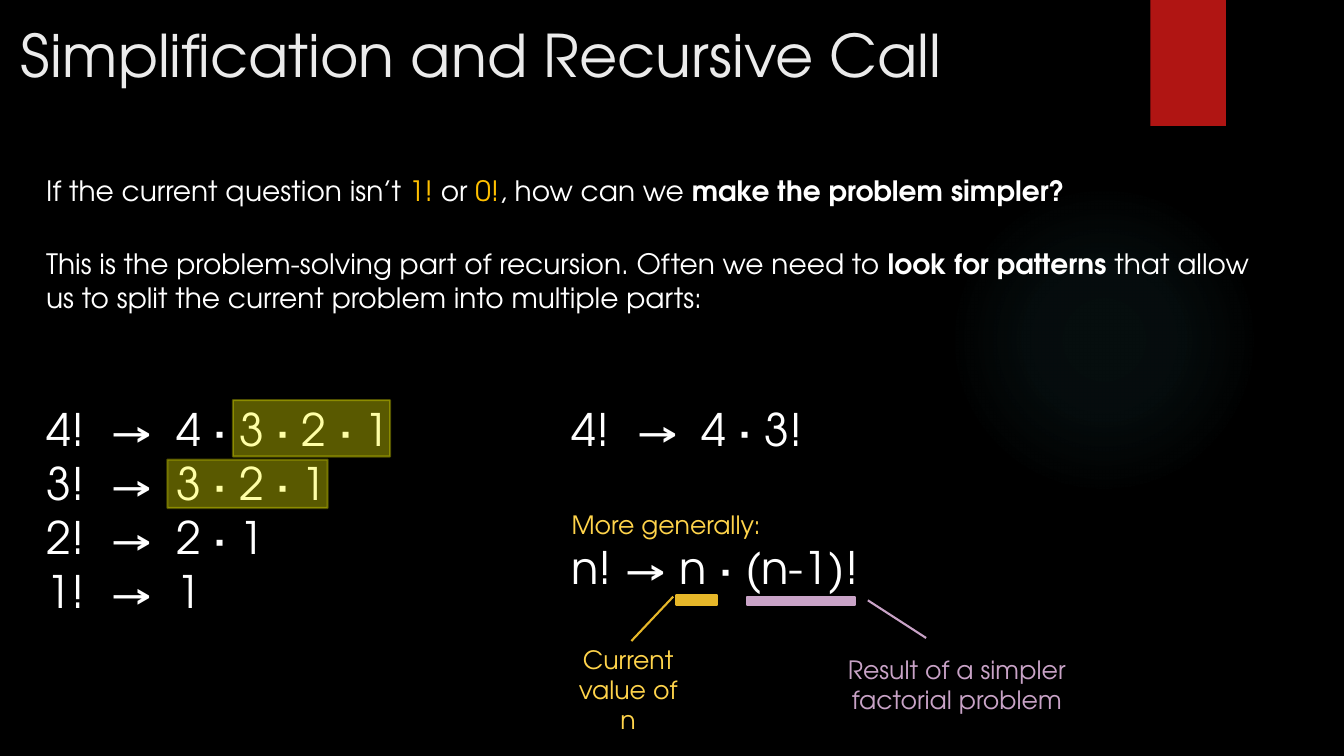
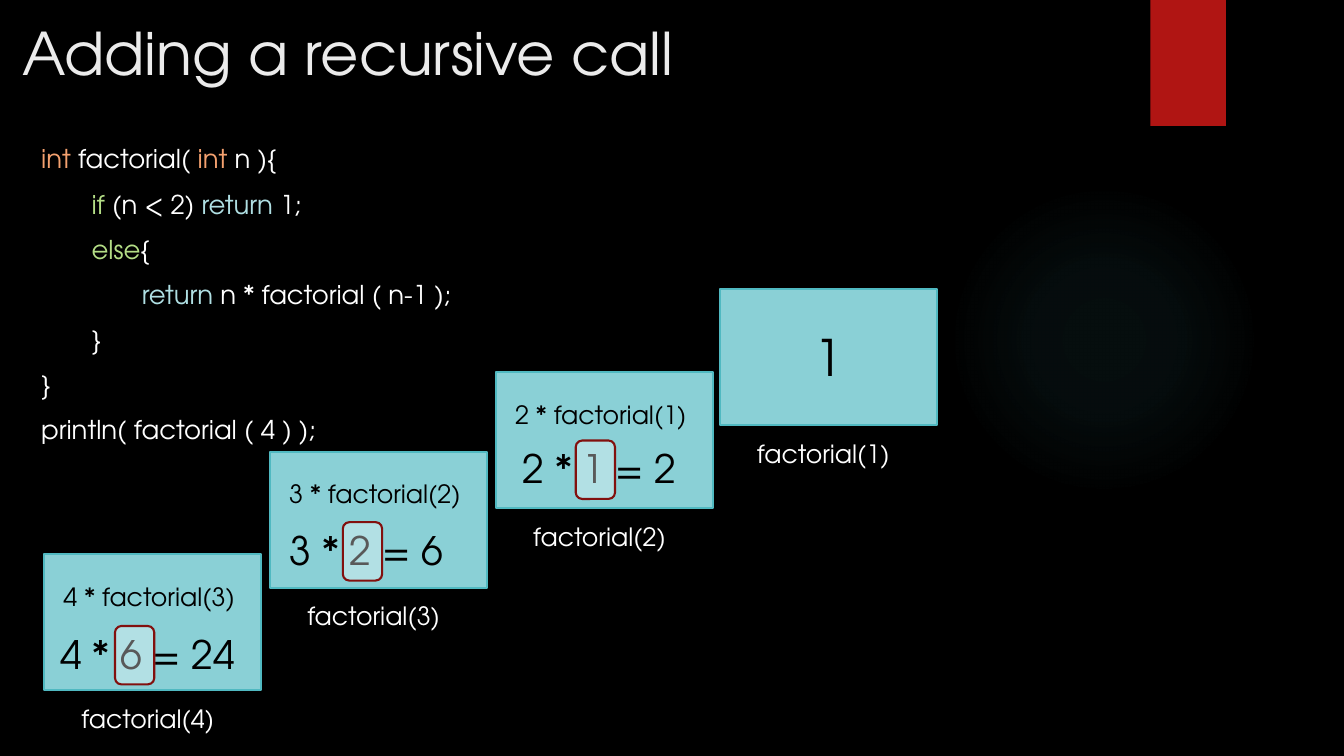
import math

import pptx
import pptx.dml.color
import pptx.enum.shapes
import pptx.enum.text
import pptx.oxml
import pptx.oxml.ns
import pptx.util

Inches = pptx.util.Inches
Pt = pptx.util.Pt
Shape = pptx.enum.shapes.MSO_SHAPE
Align = pptx.enum.text.PP_ALIGN
qn = pptx.oxml.ns.qn

BLACK = "000000"
WHITE = "FFFFFF"
TITLE = "EBEBEB"
RED = "B01513"
TEAL = "50B9C1"
PALE_TEAL = "8AD0D6"
DARK_RED = "82100E"
YELLOW = "FFFF00"
AMBER = "FFC000"
GOLD = "FFD44B"
DARK_GOLD = "E6B729"
LILAC = "C9A3C7"
ORANGE = "F4A16F"
GREEN = "B4DE86"
ICE = "AFDFE3"

BOLD = {"bold": True}


def rgb(value):
    return pptx.dml.color.RGBColor.from_string(value)


def product(text):
    runs = []
    for index, factor in enumerate(text.split("⋅")):
        if index:
            runs.append(("⋅", BOLD))
        runs.append((factor, {}))
    return runs


class Deck:
    font = "TeX Gyre Adventor"
    glow_stops = ((0, 7), (36, 6), (69, 0))

    def __init__(self):
        self.prs = pptx.Presentation()
        self.prs.slide_width = Inches(13.33)
        self.prs.slide_height = Inches(7.5)
        self.slide = None
        backdrop = self.prs.slide_master.background.fill
        backdrop.solid()
        backdrop.fore_color.rgb = rgb(BLACK)

    def new_slide(self, title, left, top):
        self.slide = self.prs.slides.add_slide(self.prs.slide_layouts[6])
        self.glow(9.41, 1.83, 3.08, 3.08)
        self.shape(Shape.RECTANGLE, 11.41, 0, 0.75, 1.25, RED)
        self.text(left, top, 10.29, 1.53, [title], 42, TITLE)

    def shape(self, kind, left, top, width, height, fill=None, line=None,
              alphas=(), adjustments=()):
        shape = self.slide.shapes.add_shape(
            kind, Inches(left), Inches(top), Inches(width), Inches(height))
        shape.shadow.inherit = False
        for part, color in ((shape.fill, fill), (shape.line.fill, line)):
            if color:
                part.solid()
                part.fore_color.rgb = rgb(color)
            else:
                part.background()
        if line:
            shape.line.width = Pt(1.5)
        colors = shape._element.spPr.iter(qn("a:srgbClr"))
        for color, alpha in zip(list(colors), alphas):
            opacity = color.makeelement(qn("a:alpha"), {"val": str(alpha * 1000)})
            color.append(opacity)
        for index, value in enumerate(adjustments):
            shape.adjustments[index] = value
        return shape

    def glow(self, left, top, width, height):
        properties = self.shape(Shape.OVAL, left, top, width, height)._element.spPr
        stops = "".join(
            f'<a:gs pos="{place * 1000}"><a:srgbClr val="{TEAL}">'
            f'<a:alpha val="{alpha * 1000}"/></a:srgbClr></a:gs>'
            for place, alpha in self.glow_stops)
        gradient = pptx.oxml.parse_xml(
            f'<a:gradFill {pptx.oxml.ns.nsdecls("a")}><a:gsLst>{stops}</a:gsLst>'
            '<a:path path="circle"><a:fillToRect l="50000" t="50000" r="50000" '
            'b="50000"/></a:path></a:gradFill>')
        properties.replace(properties.find(qn("a:noFill")), gradient)

    def text(self, left, top, width, height, paragraphs, size, color,
             align=Align.LEFT, before=(), indents=(), tabs=()):
        box = self.slide.shapes.add_textbox(
            Inches(left), Inches(top), Inches(width), Inches(height))
        frame = box.text_frame
        frame.word_wrap = True
        for index, content in enumerate(paragraphs):
            paragraph = frame.paragraphs[0] if index == 0 else frame.add_paragraph()
            paragraph.alignment = align
            if before:
                paragraph.space_before = Pt(before[index])
            properties = paragraph._p.get_or_add_pPr()
            if indents:
                properties.set("marL", str(Inches(indents[index])))
            if tabs:
                stops = properties.makeelement(qn("a:tabLst"), {})
                for tab in tabs:
                    stops.append(stops.makeelement(
                        qn("a:tab"), {"pos": str(Inches(tab)), "algn": "l"}))
                properties.append(stops)
            runs = [(content, {})] if isinstance(content, str) else content
            for words, changes in runs:
                self.run(paragraph, words, {"size": size, "color": color, **changes})

    def run(self, paragraph, words, style):
        run = paragraph.add_run()
        run.text = words
        run.font.color.rgb = rgb(style["color"])
        formats = {"name": self.font, "size": Pt(style["size"]),
                   "bold": style.get("bold", False)}
        for name, value in formats.items():
            setattr(run.font, name, value)


def simplification_slide(deck):
    deck.new_slide("Simplification and Recursive Call", 0.11, 0.14)
    amber = {"color": AMBER}
    deck.text(0.36, 1.67, 12.15, 0.62, [[
        ("If the current question isn’t ", {}), ("1! ", amber), ("or ", {}),
        ("0!", amber), (", how can we ", {}),
        ("make the problem simpler?", BOLD)]], 20, WHITE)
    deck.text(0.36, 2.4, 12.15, 1.41, [[
        ("This is the problem-solving part of recursion. Often we need to ", {}),
        ("look for patterns", BOLD),
        (" that allow us to split the current problem into multiple parts:", {})]],
        20, WHITE)

    columns = (0.64, 1.29)
    expansions = ("4!\t→\t4 ⋅ 3 ⋅ 2 ⋅ 1", "3!\t→\t3 ⋅ 2 ⋅ 1",
                  "2!\t→\t2 ⋅ 1", "1!\t→\t1")
    deck.text(0.36, 3.94, 7.25, 2.26, [product(line) for line in expansions],
              32, WHITE, tabs=columns)
    deck.text(5.57, 3.94, 7.25, 2.02, [
        product("4!\t→\t4 ⋅ 3!"),
        [("More generally:", {"size": 18, "color": GOLD})],
        product("n! → n ⋅ (n-1)!")], 32, WHITE, before=(0, 38, 0), tabs=columns)

    for left, top, width, height in ((2.31, 3.97, 1.56, 0.56),
                                     (1.66, 4.56, 1.59, 0.48)):
        deck.shape(Shape.RECTANGLE, left, top, width, height, YELLOW, YELLOW,
                   alphas=(35, 31))

    deck.shape(Shape.LINE_CALLOUT_1, 6.71, 5.9, 0.4, 0.1, DARK_GOLD, DARK_GOLD,
               adjustments=(0.19, -0.08, 4.6, -1.12))
    deck.shape(Shape.LINE_CALLOUT_1, 7.41, 5.92, 1.07, 0.08, LILAC, LILAC,
               adjustments=(0.45, 1.12, 5.12, 1.66))
    deck.text(5.58, 6.34, 1.3, 1.01, ["Current value of n"], 18, GOLD, Align.CENTER)
    deck.text(8.26, 6.44, 2.46, 0.71, ["Result of a simpler factorial problem"],
              18, LILAC, Align.CENTER)


def recursive_call_slide(deck):
    deck.new_slide("Adding a recursive call", 0.12, 0.12)
    kind, branch, result = ({"color": c} for c in (ORANGE, GREEN, ICE))
    code = (
        (0, [("int ", kind), ("factorial( ", {}), ("int ", kind), ("n ){", {})]),
        (1, [("if", branch), (" (n < 2) ", {}), ("return ", result), ("1;", {})]),
        (1, [("else", branch), ("{", {})]),
        (2, [("return ", result), ("n * factorial ( n-1 );", {})]),
        (1, "}"),
        (0, "}"),
        (0, "println( factorial ( 4 ) );"),
    )
    deck.text(0.31, 1.37, 4.91, 2.99, [line for _, line in code], 18.5, WHITE,
              before=[0] + [10] * (len(code) - 1),
              indents=[depth * 0.5 for depth, _ in code])

    calls = (
        (4, 0.44, 5.5, (0.46, 6.2), 1.14),
        (3, 2.68, 4.48, (2.63, 5.17), 3.4),
        (2, 4.92, 3.69, (4.94, 4.36), 5.71),
        (1, 7.14, 2.87, None, None),
    )
    for n, left, top, equation, returned_left in calls:
        deck.shape(Shape.RECTANGLE, left, top, 2.15, 1.35, PALE_TEAL, TEAL)
        deck.text(left + 0.27, top + 1.43, 1.8, 0.4, [f"factorial({n})"], 18, WHITE)
        if equation is None:
            deck.text(left + 0.84, top + 0.32, 1.31, 0.71, ["1"], 36, BLACK)
            continue
        deck.text(left + 0.09, top + 0.22, 2.01, 0.4,
                  [f"{n} * factorial({n - 1})"], 18, BLACK)
        deck.text(*equation, 2.01, 0.57,
                  [f"{n} * {math.factorial(n - 1)} = {math.factorial(n)}"],
                  28, BLACK, Align.CENTER)
        deck.shape(Shape.ROUNDED_RECTANGLE, returned_left, equation[1] + 0.01,
                   0.39, 0.58, WHITE, DARK_RED, alphas=(35,))


def main():
    deck = Deck()
    simplification_slide(deck)
    recursive_call_slide(deck)
    deck.prs.save("out.pptx")


if __name__ == "__main__":
    main()
